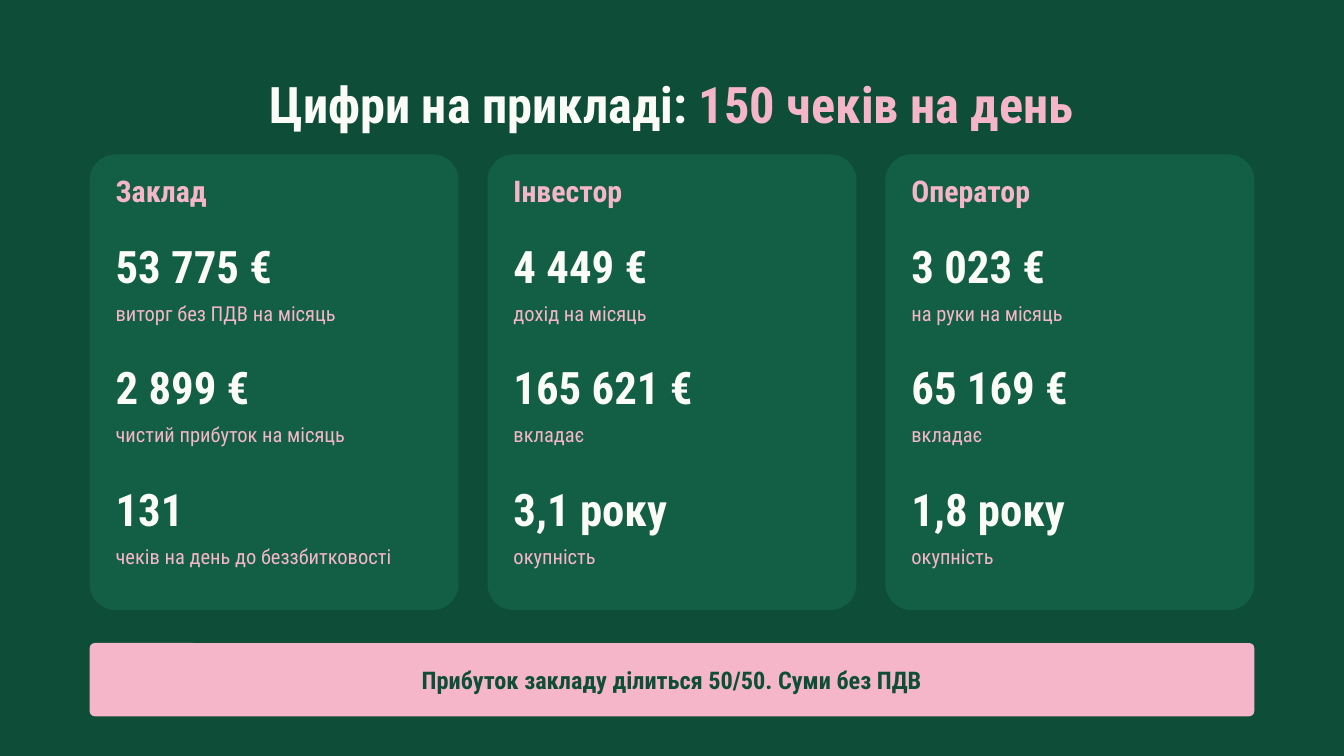
"""Build the slide with the 150-checks-a-day example for venue, investor and operator."""
from pptx import Presentation
from pptx.dml.color import RGBColor
from pptx.enum.shapes import MSO_SHAPE
from pptx.enum.text import MSO_ANCHOR, PP_ALIGN
from pptx.util import Cm, Pt

ROUNDED = MSO_SHAPE.ROUNDED_RECTANGLE
LEFT, CENTER = PP_ALIGN.LEFT, PP_ALIGN.CENTER
TOP, MIDDLE = MSO_ANCHOR.TOP, MSO_ANCHOR.MIDDLE

FONT = "Roboto Condensed"
DARK_GREEN, CARD_GREEN, PINK, WHITE = "0E4D38", "135F45", "F4B6C8", "FBFBF8"

TITLE_FORMAT = {"size": Pt(54), "bold": True}
HEADING_FORMAT = {"size": Pt(32), "bold": True}
AMOUNT_FORMAT = {"size": Pt(48), "bold": True}
CAPTION_FORMAT = {"size": Pt(22), "bold": False}
NOTE_FORMAT = {"size": Pt(26), "bold": True}

CARD_LEFT, CARD_TOP, CARD_WIDTH, CARD_HEIGHT = 3.39, 5.84, 13.94, 17.22
CARD_STEP = 15.04
CARD_PADDING = 0.98
AMOUNT_TOP, AMOUNT_HEIGHT, AMOUNT_STEP = 9.02, 2.36, 4.59
LINE_HEIGHT = 1.68
BANNER_TOP, BANNER_HEIGHT = 24.31, 2.77

CARDS = [
    ("Заклад", [
        ("53 775 €", "виторг без ПДВ на місяць"),
        ("2 899 €", "чистий прибуток на місяць"),
        ("131", "чеків на день до беззбитковості"),
    ]),
    ("Інвестор", [
        ("4 449 €", "дохід на місяць"),
        ("165 621 €", "вкладає"),
        ("3,1 року", "окупність"),
    ]),
    ("Оператор", [
        ("3 023 €", "на руки на місяць"),
        ("65 169 €", "вкладає"),
        ("1,8 року", "окупність"),
    ]),
]

presentation = Presentation()
presentation.slide_width, presentation.slide_height = Cm(50.8), Cm(28.58)
slide = presentation.slides.add_slide(presentation.slide_layouts[6])
slide.background.fill.solid()
slide.background.fill.fore_color.rgb = RGBColor.from_string(DARK_GREEN)


def add_panel(left, top, width, height, color):
    panel = slide.shapes.add_shape(ROUNDED, Cm(left), Cm(top), Cm(width), Cm(height))
    panel.adjustments[0] = 0.07
    panel.shadow.inherit = False
    panel.fill.solid()
    panel.fill.fore_color.rgb = RGBColor.from_string(color)
    panel.line.fill.background()


def add_text(left, top, width, height, parts, font_format, align=LEFT, anchor=TOP):
    frame = slide.shapes.add_textbox(Cm(left), Cm(top), Cm(width), Cm(height)).text_frame
    frame_format = {"word_wrap": True, "vertical_anchor": anchor, "margin_left": 0,
                    "margin_top": 0, "margin_right": 0, "margin_bottom": 0}
    for name, value in frame_format.items():
        setattr(frame, name, value)
    paragraph = frame.paragraphs[0]
    paragraph.alignment = align
    for text, color in parts:
        run = paragraph.add_run()
        run.text = text
        run.font.color.rgb = RGBColor.from_string(color)
        for name, value in {"name": FONT, **font_format}.items():
            setattr(run.font, name, value)


add_text(2.72, 2.77, 45.34, 2.49,
         [("Цифри на прикладі: ", WHITE), ("150 чеків на день", PINK)], TITLE_FORMAT, CENTER)

for column, (heading, figures) in enumerate(CARDS):
    card_left = CARD_LEFT + column * CARD_STEP
    text_left, text_width = card_left + CARD_PADDING, CARD_WIDTH - 2 * CARD_PADDING
    add_panel(card_left, CARD_TOP, CARD_WIDTH, CARD_HEIGHT, CARD_GREEN)
    add_text(text_left, 6.53, text_width, LINE_HEIGHT, [(heading, PINK)], HEADING_FORMAT)
    for row, (amount, caption) in enumerate(figures):
        amount_top = AMOUNT_TOP + row * AMOUNT_STEP
        add_text(text_left, amount_top, text_width, AMOUNT_HEIGHT,
                 [(amount, WHITE)], AMOUNT_FORMAT)
        add_text(text_left, amount_top + AMOUNT_HEIGHT, text_width, LINE_HEIGHT,
                 [(caption, PINK)], CAPTION_FORMAT)

banner_width = 2 * CARD_STEP + CARD_WIDTH
add_panel(CARD_LEFT, BANNER_TOP, banner_width, BANNER_HEIGHT, PINK)
add_text(4.17, BANNER_TOP, 42.47, BANNER_HEIGHT,
         [("Прибуток закладу ділиться 50/50. Суми без ПДВ", DARK_GREEN)],
         NOTE_FORMAT, CENTER, MIDDLE)

presentation.save("out.pptx")
